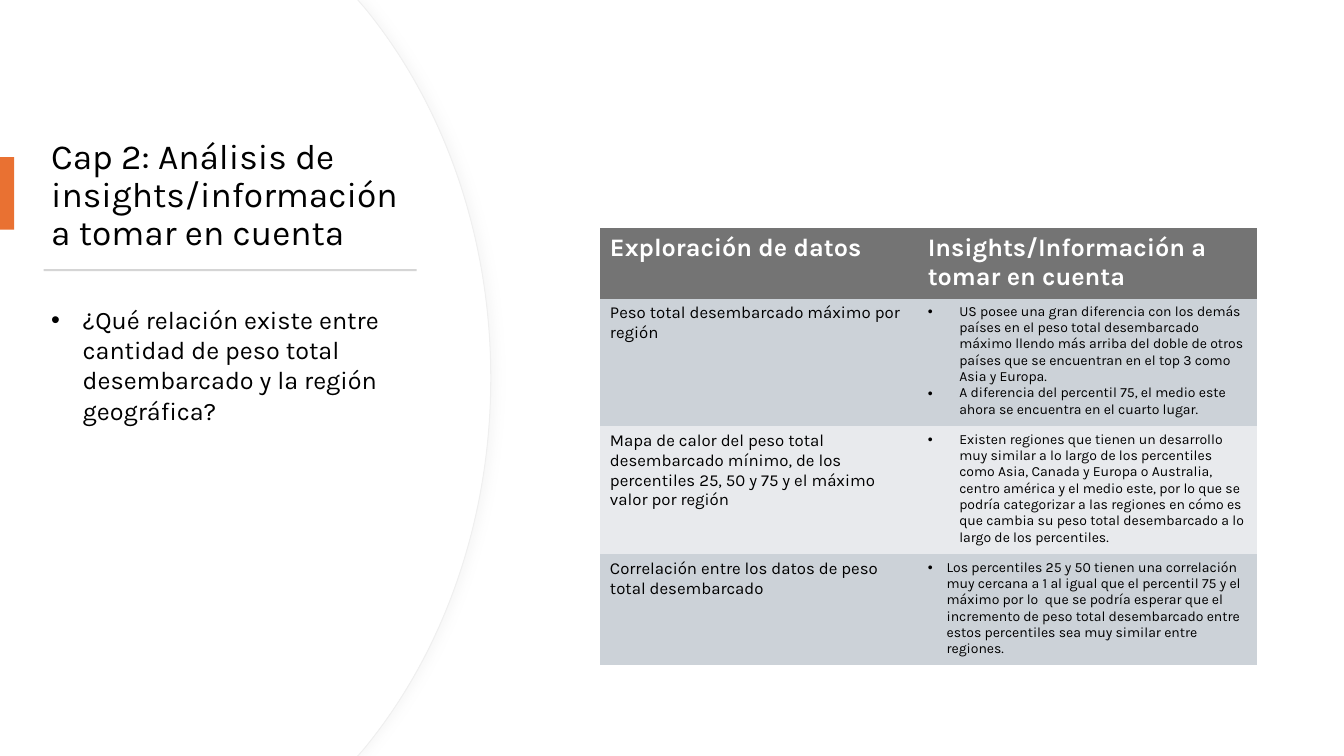
"""Build a slide with a curved side panel and a table of data insights."""
from dataclasses import dataclass

from lxml.etree import SubElement
from pptx import Presentation
from pptx.dml.color import RGBColor
from pptx.enum.shapes import MSO_SHAPE
from pptx.enum.text import MSO_ANCHOR
from pptx.oxml.ns import qn
from pptx.shapes.autoshape import Shape
from pptx.slide import Slide
from pptx.text.text import TextFrame, _Paragraph
from pptx.util import Pt

RECT = MSO_SHAPE.RECTANGLE
TOP, MIDDLE = MSO_ANCHOR.TOP, MSO_ANCHOR.MIDDLE
PLAIN_GRID = "{2D5ABB26-0587-4C30-8999-92F81FD0307C}"
WIDTH, HEIGHT = 960, 540


@dataclass(frozen=True)
class Theme:
    font: str = "Karla"
    ink: str = "000000"
    white: str = "FFFFFF"
    accent: str = "E97132"
    rule: str = "D5D5D5"
    edge: str = "EFEFEF"
    shade: str = "D9D9D9"
    head: str = "747474"
    bands: tuple[str, str] = ("CCD2D8", "E8EAED")
    title: float = 25.2
    body: float = 18
    topic: float = 12
    note: float = 10


@dataclass(frozen=True)
class Box:
    left: float
    top: float
    width: float
    height: float

    def points(self) -> tuple[Pt, Pt, Pt, Pt]:
        return Pt(self.left), Pt(self.top), Pt(self.width), Pt(self.height)


@dataclass(frozen=True)
class Style:
    size: float
    color: str
    bold: bool = False
    indent: float = 0
    spacing: float | None = None


@dataclass(frozen=True)
class Label:
    box: Box
    text: str
    style: Style
    anchor: MSO_ANCHOR = TOP


@dataclass(frozen=True)
class Bar:
    box: Box
    color: str


@dataclass(frozen=True)
class Row:
    topic: str
    notes: tuple[str, ...]
    indent: float = 22.5


THEME = Theme()
HEADS = ("Exploración de datos", "Insights/Información a tomar en cuenta")
COLUMNS = (227, 242.2)
ROW_HEIGHT = 49.3
GRID = Box(428.5, 162.8, sum(COLUMNS), 288)
LABELS = (
    Label(Box(29.5, 91.4, 270.7, 97.2),
          "Cap 2: Análisis de insights/información a tomar en cuenta",
          Style(THEME.title, THEME.ink, spacing=0.9), MIDDLE),
    Label(Box(29.5, 213.8, 270.7, 252.7),
          "¿Qué relación existe entre cantidad de peso total desembarcado "
          "y la región geográfica?",
          Style(THEME.body, THEME.ink, indent=22.5)),
)
BARS = (
    Bar(Box(0, 112.3, 10.1, 51.8), THEME.accent),
    Bar(Box(31.2, 192.2, 266.4, 1.5), THEME.rule),
)
ROWS = (
    Row("Peso total desembarcado máximo por región", (
        "US posee una gran diferencia con los demás países en el peso total "
        "desembarcado máximo llendo más arriba del doble de otros países que "
        "se encuentran en el top 3 como Asia y Europa.",
        "A diferencia del percentil 75, el medio este ahora se encuentra en "
        "el cuarto lugar.")),
    Row("Mapa de calor del peso total desembarcado mínimo, de los "
        "percentiles 25, 50 y 75 y el máximo valor por región", (
            "Existen regiones que tienen un desarrollo muy similar a lo largo "
            "de los percentiles como Asia, Canada y Europa o Australia, centro "
            "américa y el medio este, por lo que se podría categorizar a las "
            "regiones en cómo es que cambia su peso total desembarcado a lo "
            "largo de los percentiles.",)),
    Row("Correlación entre los datos de peso total desembarcado", (
        "Los percentiles 25 y 50 tienen una correlación muy cercana a 1 al "
        "igual que el percentil 75 y el máximo por lo  que se podría esperar "
        "que el incremento de peso total desembarcado entre estos percentiles "
        "sea muy similar entre regiones.",), 13.5),
)


def rgb(color: str) -> RGBColor:
    return RGBColor.from_string(color)


def paint(shape: Shape, color: str) -> None:
    shape.shadow.inherit = False
    shape.fill.solid()
    shape.fill.fore_color.rgb = rgb(color)
    shape.line.fill.background()


def add_bullet(para: _Paragraph, indent: float) -> None:
    props = para._p.get_or_add_pPr()
    props.set("marL", str(Pt(indent)))
    props.set("indent", str(-Pt(indent)))
    SubElement(props, qn("a:buFont"), typeface="Arial")
    SubElement(props, qn("a:buChar"), char="•")


def write(frame: TextFrame, texts: tuple[str, ...], style: Style) -> None:
    frame.text = "\n".join(texts)
    for para in frame.paragraphs:
        if style.indent:
            add_bullet(para, style.indent)
        para.line_spacing = style.spacing
        for run in para.runs:
            run.font.name = THEME.font
            run.font.size = Pt(style.size)
            run.font.bold = style.bold
            run.font.color.rgb = rgb(style.color)


def add_panel(slide: Slide, shift: float) -> Shape:
    upper = [(255.6, 0), (260.6, 5.8), (316.1, 73.4), (350.6, 167)]
    lower = [(x, HEIGHT - y) for x, y in reversed(upper)]
    points = [(x - shift, y) for x, y in [*upper, (350.6, 270), *lower]]
    pen = slide.shapes.build_freeform(0, 0)
    pen.add_line_segments([(Pt(x), Pt(y)) for x, y in [*points, (0, HEIGHT)]])
    panel = pen.convert_to_shape()
    lines = list(panel._element.iter(qn("a:lnTo")))
    for first in (2, 5):
        curve = lines[first]
        curve.tag = qn("a:cubicBezTo")
        for line in lines[first + 1:first + 3]:
            curve.append(line[0])
            line.getparent().remove(line)
    paint(panel, THEME.white)
    return panel


def add_glow(panel: Shape) -> None:
    panel.line.color.rgb = rgb(THEME.edge)
    panel.line.width = Pt(0.75)
    effects = panel._element.spPr.find(qn("a:effectLst"))
    glow = SubElement(effects, qn("a:outerShdw"), blurRad=str(Pt(7)),
                      dist=str(Pt(3)), dir="0", algn="l", rotWithShape="0")
    color = SubElement(glow, qn("a:srgbClr"), val=THEME.shade)
    SubElement(color, qn("a:alpha"), val="20000")


def add_label(slide: Slide, label: Label) -> None:
    frame = slide.shapes.add_textbox(*label.box.points()).text_frame
    frame.word_wrap = True
    frame.vertical_anchor = label.anchor
    write(frame, (label.text,), label.style)


def add_grid(slide: Slide) -> None:
    holder = slide.shapes.add_table(
        len(ROWS) + 1, len(COLUMNS), *GRID.points())
    table = holder.table
    table._tbl.tblPr.find(qn("a:tableStyleId")).text = PLAIN_GRID
    for column, width in zip(table.columns, COLUMNS):
        column.width = Pt(width)
    head = Style(THEME.body, THEME.white, bold=True)
    topic = Style(THEME.topic, THEME.ink)
    lines = [(THEME.head, [((text,), head) for text in HEADS])]
    for i, row in enumerate(ROWS):
        note = Style(THEME.note, THEME.ink, indent=row.indent)
        lines.append((THEME.bands[i % 2],
                      [((row.topic,), topic), (row.notes, note)]))
    for line, (fill, cells) in zip(table.rows, lines):
        line.height = Pt(ROW_HEIGHT)
        for cell, (texts, style) in zip(line.cells, cells):
            cell.fill.solid()
            cell.fill.fore_color.rgb = rgb(fill)
            write(cell.text_frame, texts, style)
    holder.height = Pt(GRID.height)


def main() -> None:
    deck = Presentation()
    deck.slide_width, deck.slide_height = Pt(WIDTH), Pt(HEIGHT)
    slide = deck.slides.add_slide(deck.slide_layouts[6])
    add_glow(add_panel(slide, 0))
    add_panel(slide, 0.7)
    for bar in BARS:
        paint(slide.shapes.add_shape(RECT, *bar.box.points()), bar.color)
    for label in LABELS:
        add_label(slide, label)
    add_grid(slide)
    deck.save("out.pptx")


if __name__ == "__main__":
    main()
